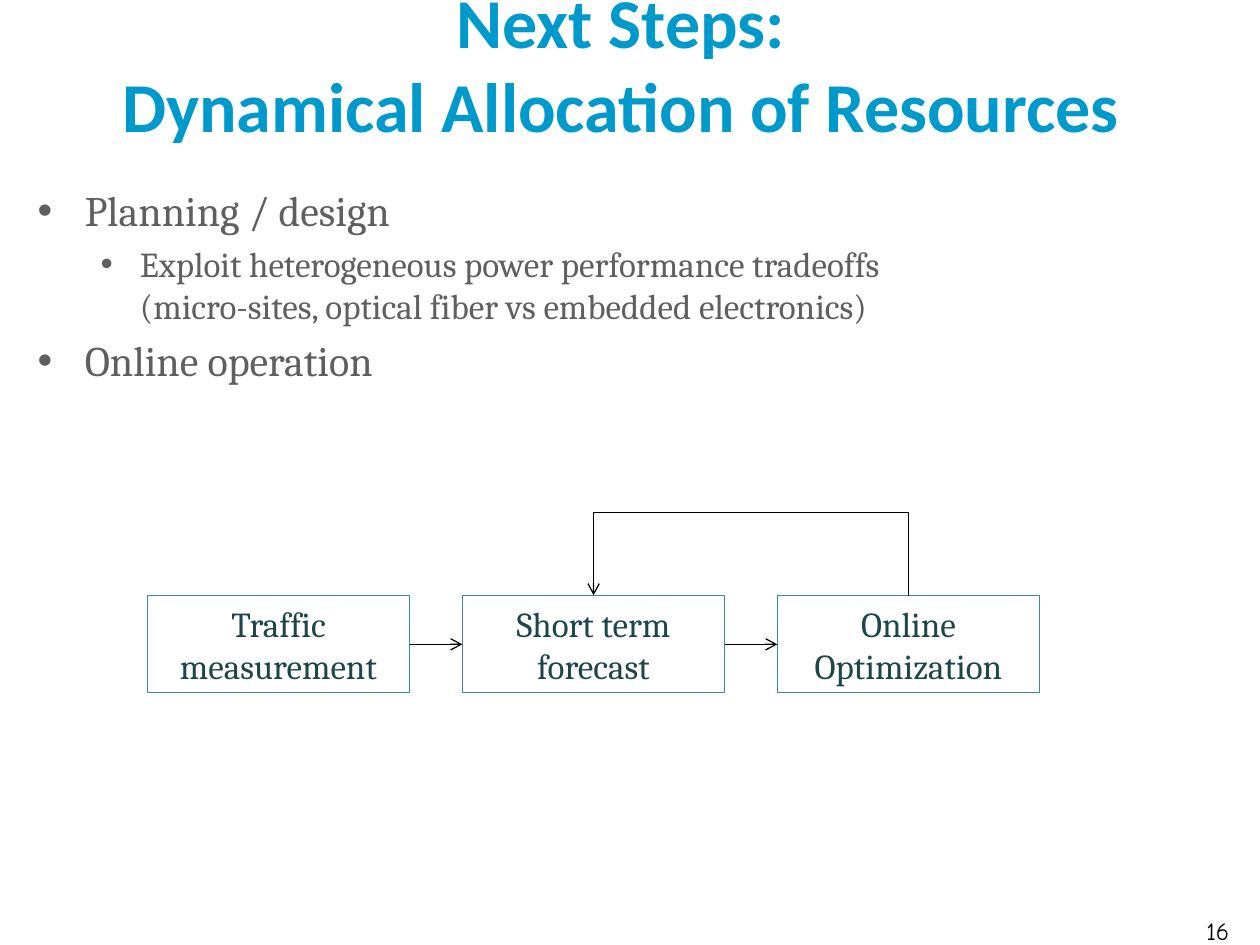
from lxml import etree
from pptx import Presentation
from pptx.dml.color import RGBColor
from pptx.enum.shapes import MSO_CONNECTOR, MSO_SHAPE
from pptx.enum.text import MSO_ANCHOR, PP_ALIGN
from pptx.oxml.ns import qn
from pptx.util import Pt

STRAIGHT, ELBOW = MSO_CONNECTOR.STRAIGHT, MSO_CONNECTOR.ELBOW
RECTANGLE = MSO_SHAPE.RECTANGLE
CENTER, LEFT = PP_ALIGN.CENTER, PP_ALIGN.LEFT
MIDDLE = MSO_ANCHOR.MIDDLE


def write(paragraph, text, font, size, color, align=CENTER):
    paragraph.text = text
    paragraph.alignment = align
    paragraph.font.name = font
    paragraph.font.size = Pt(size)
    paragraph.font.color.rgb = RGBColor.from_string(color)


def add_arrow(kind, *ends):
    connector = slide.shapes.add_connector(kind, *[Pt(value) for value in ends])
    connector.line.color.rgb = RGBColor.from_string("000000")
    connector.line.width = Pt(0.75)
    line = connector.line._get_or_add_ln()
    etree.SubElement(line, qn("a:tailEnd"), type="arrow")
    etree.SubElement(connector._element.spPr, qn("a:effectLst"))
    return connector


presentation = Presentation()
presentation.slide_width, presentation.slide_height = Pt(720), Pt(540)
slide = presentation.slides.add_slide(presentation.slide_layouts[6])

# Title
title = slide.shapes.add_textbox(Pt(8.6), Pt(0), Pt(692), Pt(71.3)).text_frame
title.word_wrap = True
title.vertical_anchor = MIDDLE
write(title.paragraphs[0], "Next Steps:\vDynamical Allocation of Resources",
      "Calibri", 40, "0099CC")
title.paragraphs[0].font.bold = True

# Bulleted list: text, size, left margin, hanging indent
bullets = [
    ("Planning / design", 24, 27, 27),
    ("Exploit heterogeneous power performance tradeoffs \v"
     "(micro-sites, optical fiber vs embedded electronics)", 20, 58.5, 22.5),
    ("Online operation", 24, 27, 27),
]
body = slide.shapes.add_textbox(Pt(14.4), Pt(102.2), Pt(698), Pt(429)).text_frame
body.word_wrap = True
for index, (text, size, margin, hanging) in enumerate(bullets):
    paragraph = body.add_paragraph() if index else body.paragraphs[0]
    write(paragraph, text, "Cambria", size, "5F5F5F", LEFT)
    paragraph.space_before = Pt(size * 0.2)
    properties = paragraph._p.get_or_add_pPr()
    properties.set("marL", str(Pt(margin)))
    properties.set("indent", str(-Pt(hanging)))
    bullet_font = etree.Element(qn("a:buFont"), typeface="Arial")
    bullet = etree.Element(qn("a:buChar"), char="•")
    properties.find(qn("a:defRPr")).addprevious(bullet_font)
    bullet_font.addnext(bullet)

# Slide number
number = slide.shapes.add_textbox(Pt(671.8), Pt(519.8), Pt(48.2), Pt(20.2)).text_frame
number.word_wrap = True
write(number.paragraphs[0], "16", "Comic Neue", 14, "000000")

# Process boxes
box_left, box_top, box_width, box_height, pitch = 84.2, 340.5, 150, 55.4, 180
steps = ["Traffic measurement", "Short term forecast", "Online Optimization"]
for index, step in enumerate(steps):
    shape = slide.shapes.add_shape(RECTANGLE, Pt(box_left + index * pitch),
                                   Pt(box_top), Pt(box_width), Pt(box_height))
    shape.shadow.inherit = False
    shape.fill.background()
    shape.line.color.rgb = RGBColor.from_string("3C8C93")
    shape.line.width = Pt(0.75)
    shape.text_frame.word_wrap = True
    shape.text_frame.vertical_anchor = MIDDLE
    write(shape.text_frame.paragraphs[0], step, "Cambria", 20, "1E4649")

# Arrows between neighbouring boxes
arrow_y = box_top + box_height / 2
for index in range(len(steps) - 1):
    start = box_left + index * pitch + box_width
    add_arrow(STRAIGHT, start, arrow_y, box_left + (index + 1) * pitch, arrow_y)

# Feedback loop: a thin upright elbow turned a quarter, bending above the boxes
loop_x = box_left + box_width / 2 + 1.5 * pitch
loop_depth, loop_rise = 0.5, 46.8
loop = add_arrow(ELBOW, loop_x - loop_depth / 2, box_top + pitch / 2,
                 loop_x + loop_depth / 2, box_top - pitch / 2)
loop.rotation = 270 if hasattr(loop, "rotation") else None
loop._element.spPr.find(qn("a:xfrm")).set("rot", str(270 * 60000))
adjustments = loop._element.spPr.find(qn("a:prstGeom")).get_or_add_avLst()
etree.SubElement(adjustments, qn("a:gd"), name="adj1",
                 fmla=f"val {round(loop_rise / loop_depth * 100000)}")

presentation.save("out.pptx")
